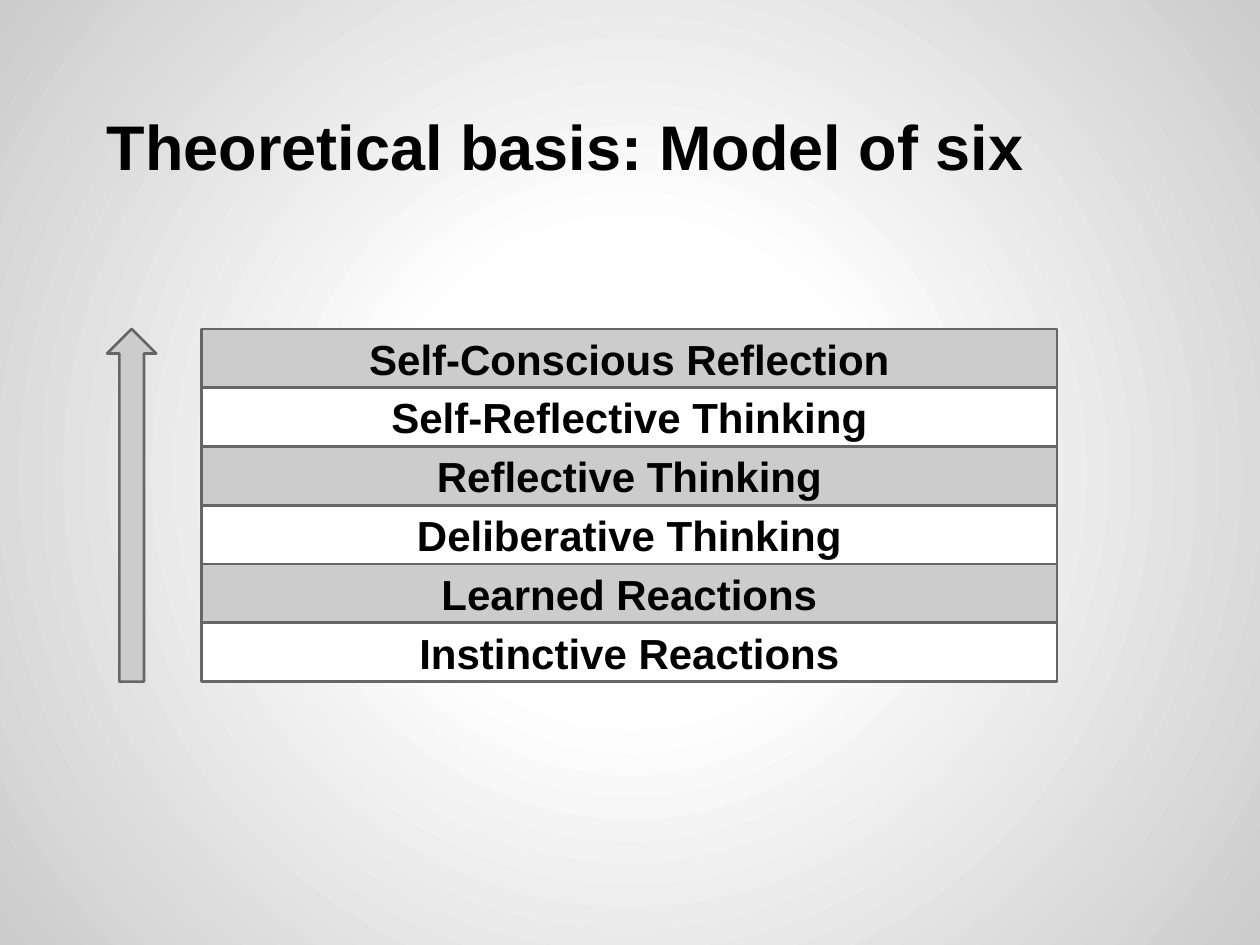
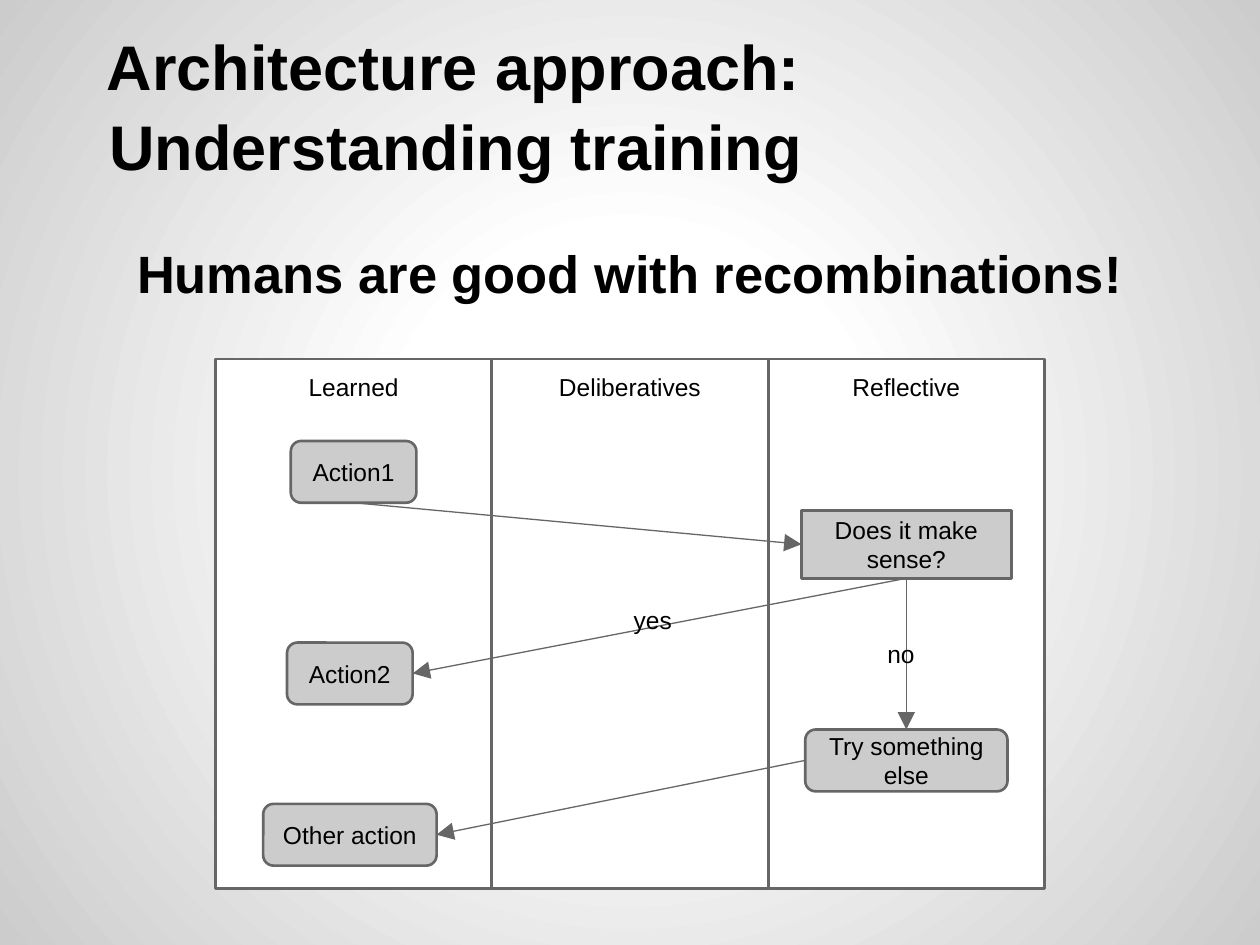
from dataclasses import dataclass

from lxml import etree
from pptx import Presentation
from pptx.dml.color import RGBColor
from pptx.enum.shapes import MSO_CONNECTOR, MSO_SHAPE
from pptx.enum.text import MSO_ANCHOR, PP_ALIGN
from pptx.oxml import parse_xml
from pptx.oxml.ns import nsdecls, qn
from pptx.util import Inches, Pt

RECT = MSO_SHAPE.RECTANGLE
ROUNDED = MSO_SHAPE.ROUNDED_RECTANGLE
ARROW = MSO_SHAPE.RIGHT_ARROW
STRAIGHT = MSO_CONNECTOR.STRAIGHT
TOP, MIDDLE, BOTTOM = MSO_ANCHOR.TOP, MSO_ANCHOR.MIDDLE, MSO_ANCHOR.BOTTOM
LEFT, CENTER = PP_ALIGN.LEFT, PP_ALIGN.CENTER
# Connection sites of a rectangle
SITE_TOP, SITE_LEFT, SITE_BOTTOM, SITE_RIGHT = range(4)


@dataclass(frozen=True)
class Theme:
    font: str = "Arial"
    ink: str = "000000"
    paper: str = "FFFFFF"
    grey: str = "CCCCCC"
    edge: str = "666666"
    title: int = 36
    statement: int = 30
    level: int = 24
    label: int = 14
    outline: float = 1.5
    link: float = 0.75
    inset: float = 0.1


THEME = Theme()


@dataclass(frozen=True)
class Box:
    left: float
    top: float
    width: float
    height: float

    def cell(self, columns, rows, left, top, width, height):
        """Return the part of this box that covers an area of its grid."""
        across, down = self.width / columns, self.height / rows
        return Box(self.left + left * across, self.top + top * down,
                   width * across, height * down)

    def turned(self):
        """Return the box that covers this one after a quarter turn."""
        return Box(self.left + (self.width - self.height) / 2,
                   self.top + (self.height - self.width) / 2,
                   self.height, self.width)

    def lengths(self):
        return [Inches(n) for n in (self.left, self.top, self.width, self.height)]


PAGE = Box(0, 0, 10, 7.5)
PAGE_GRID = (100, 75)
PANEL_GRID = (66, 42)
LANE_COLUMNS = 22


def apply(target, values):
    for name, value in values.items():
        setattr(target, name, value)


def write(shape, text, size, bold=False, anchor=MIDDLE, align=CENTER, **spacing):
    frame = shape.text_frame
    inset = Inches(THEME.inset)
    apply(frame, {"word_wrap": True, "vertical_anchor": anchor,
                  "margin_left": inset, "margin_right": inset,
                  "margin_top": inset, "margin_bottom": inset})
    para = frame.paragraphs[0]
    para.text = text
    apply(para, {"alignment": align, **spacing})
    for span in para.runs:
        apply(span.font, {"name": THEME.font, "size": Pt(size), "bold": bold})
        span.font.color.rgb = RGBColor.from_string(THEME.ink)
    return para


def add_text(page, box, text, size, **style):
    return write(page.shapes.add_textbox(*box.lengths()), text, size, **style)


def add_block(page, kind, box, fill):
    shape = page.shapes.add_shape(kind, *box.lengths())
    shape.shadow.inherit = False
    shape.fill.solid()
    shape.fill.fore_color.rgb = RGBColor.from_string(fill)
    shape.line.color.rgb = RGBColor.from_string(THEME.edge)
    shape.line.width = Pt(THEME.outline)
    return shape


def add_link(page, start, start_site, end, end_site):
    link = page.shapes.add_connector(STRAIGHT, 0, 0, 0, 0)
    link.begin_connect(start, start_site)
    link.end_connect(end, end_site)
    link.line.color.rgb = RGBColor.from_string(THEME.edge)
    link.line.width = Pt(THEME.link)
    etree.SubElement(link.line._get_or_add_ln(), qn("a:tailEnd"),
                     type="triangle", w="lg", len="lg")
    etree.SubElement(link._element.spPr, qn("a:effectLst"))


def add_background(page):
    stops = ((0, THEME.paper), (30, THEME.paper), (100, THEME.grey))
    stop_xml = "".join(
        f'<a:gs pos="{share * 1000}"><a:srgbClr val="{color}"/></a:gs>'
        for share, color in stops)
    page.element.cSld.insert(0, parse_xml(
        f'<p:bg {nsdecls("p", "a")}><p:bgPr><a:gradFill>'
        f'<a:gsLst>{stop_xml}</a:gsLst><a:path path="circle">'
        '<a:fillToRect l="50000" t="50000" r="50000" b="50000"/></a:path>'
        '</a:gradFill><a:effectLst/></p:bgPr></p:bg>'))


def add_page(deck, title):
    """Add a page with the shared background and title."""
    page = deck.slides.add_slide(deck.slide_layouts[6])
    add_background(page)
    para = add_text(page, PAGE.cell(*PAGE_GRID, 5, 3, 90, 12.5), title,
                    THEME.title, bold=True, anchor=BOTTOM, align=LEFT,
                    line_spacing=1.05)
    # The second line starts slightly further in than the first
    indent = para._p.get_or_add_pPr()
    indent.set("marL", str(Inches(0.27)))
    indent.set("indent", str(Inches(-0.02)))
    return page


def add_levels(page, box, levels):
    """Stack the levels in equal rows of alternating colour."""
    for row, level in enumerate(levels):
        fill = THEME.paper if row % 2 else THEME.grey
        block = add_block(page, RECT, box.cell(1, len(levels), 0, row, 1, 1), fill)
        write(block, level, THEME.level, bold=True)


def add_rising_arrow(page, box):
    arrow = add_block(page, ARROW, box.turned(), THEME.grey)
    arrow.rotation = 270


def add_lanes(page, box, names):
    for column, name in enumerate(names):
        lane = add_block(page, RECT, box.cell(len(names), 1, column, 0, 1, 1),
                         THEME.paper)
        write(lane, name, THEME.label, anchor=TOP)


def add_flow(page, box):
    """Draw the lanes, then the steps, links and answers on the panel grid."""
    add_lanes(page, box, ("Learned", "Deliberatives", "Reflective"))

    # Steps: text, shape, centre column, centre row, width, height
    first_lane = LANE_COLUMNS / 2
    last_lane = first_lane + 2 * LANE_COLUMNS
    steps = {
        "action": ("Action1", ROUNDED, first_lane, 8.95, 10, 4.9),
        "retry": ("Try something else", ROUNDED, last_lane, 31.85, 16.1, 4.9),
        "next": ("Action2", ROUNDED, first_lane - 0.3, 24.95, 10, 4.9),
        "check": ("Does it make sense?", RECT, last_lane, 14.7, 16.7, 5.4),
        "other": ("Other action", ROUNDED, first_lane - 0.3, 37.75, 13.8, 4.9),
    }
    nodes = {}
    for key, (text, kind, column, row, width, height) in steps.items():
        area = box.cell(*PANEL_GRID, column - width / 2, row - height / 2,
                        width, height)
        nodes[key] = add_block(page, kind, area, THEME.grey)
        write(nodes[key], text, THEME.label)

    # Links
    for start, start_site, end, end_site in (
            ("action", SITE_BOTTOM, "check", SITE_LEFT),
            ("check", SITE_BOTTOM, "retry", SITE_TOP),
            ("check", SITE_BOTTOM, "next", SITE_RIGHT),
            ("retry", SITE_LEFT, "other", SITE_RIGHT)):
        add_link(page, nodes[start], start_site, nodes[end], end_site)

    # Answers
    for text, column, row, width in (("no", 52.5, 21.2, 5.1),
                                     ("yes", 32.3, 18.5, 7.3)):
        add_text(page, box.cell(*PANEL_GRID, column, row, width, 5), text,
                 THEME.label, anchor=TOP, align=LEFT)


def build_model_page(deck):
    page = add_page(deck, "Theoretical basis: Model of six")
    add_levels(page, PAGE.cell(*PAGE_GRID, 16, 26.1, 67.9, 28),
               ("Self-Conscious Reflection", "Self-Reflective Thinking",
                "Reflective Thinking", "Deliberative Thinking",
                "Learned Reactions", "Instinctive Reactions"))
    add_rising_arrow(page, PAGE.cell(*PAGE_GRID, 8.5, 26.1, 3.9, 28))


def build_training_page(deck):
    page = add_page(deck, "Architecture approach:\vUnderstanding training")
    add_text(page, PAGE.cell(*PAGE_GRID, 5, 18.1, 90, 9),
             "Humans are good with recombinations!", THEME.statement,
             bold=True, anchor=TOP, space_before=Pt(6))
    add_flow(page, PAGE.cell(*PAGE_GRID, 17.1, 28.5, 65.8, 42))


deck = Presentation()
apply(deck, {"slide_width": Inches(PAGE.width), "slide_height": Inches(PAGE.height)})
build_model_page(deck)
build_training_page(deck)
deck.save("out.pptx")
